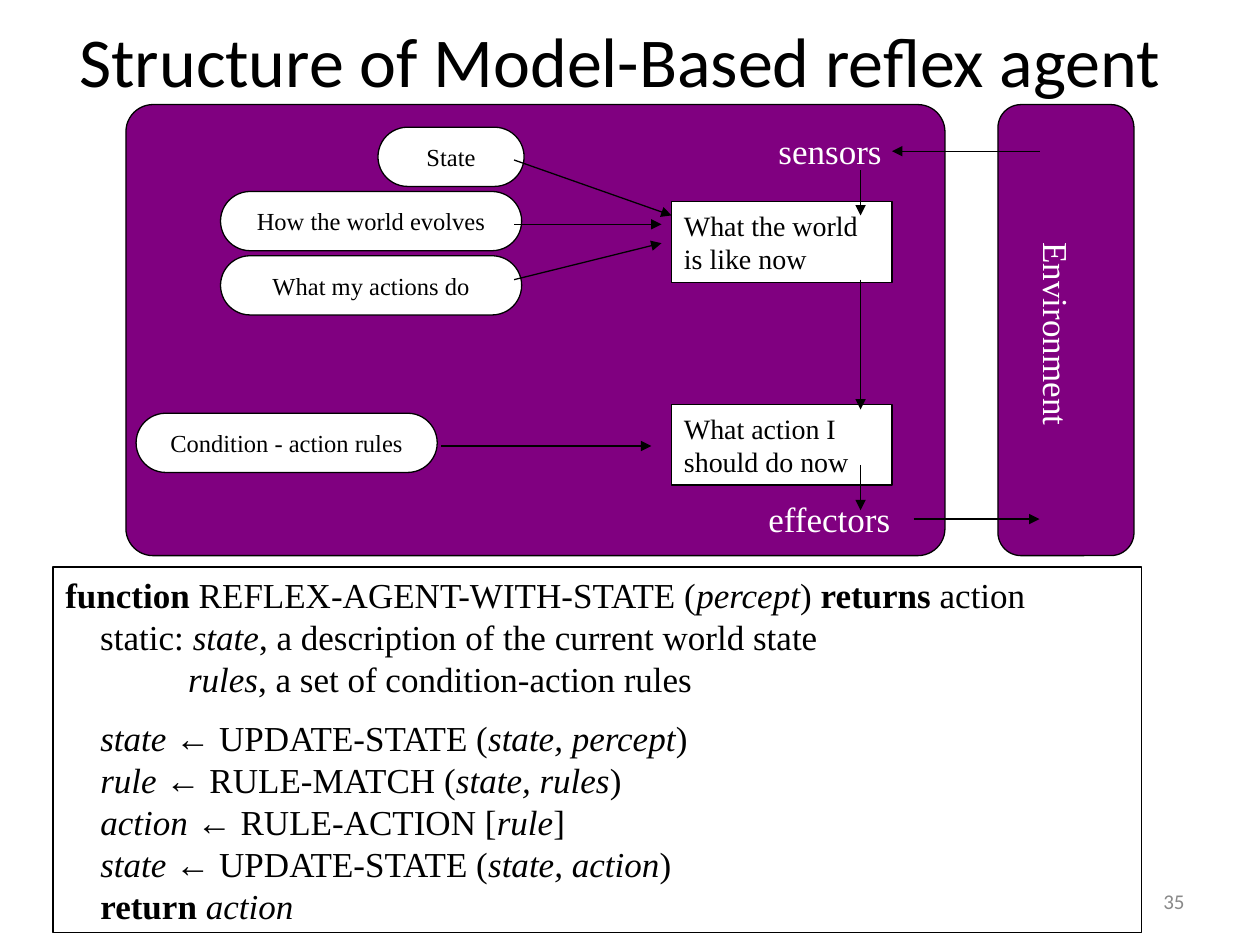
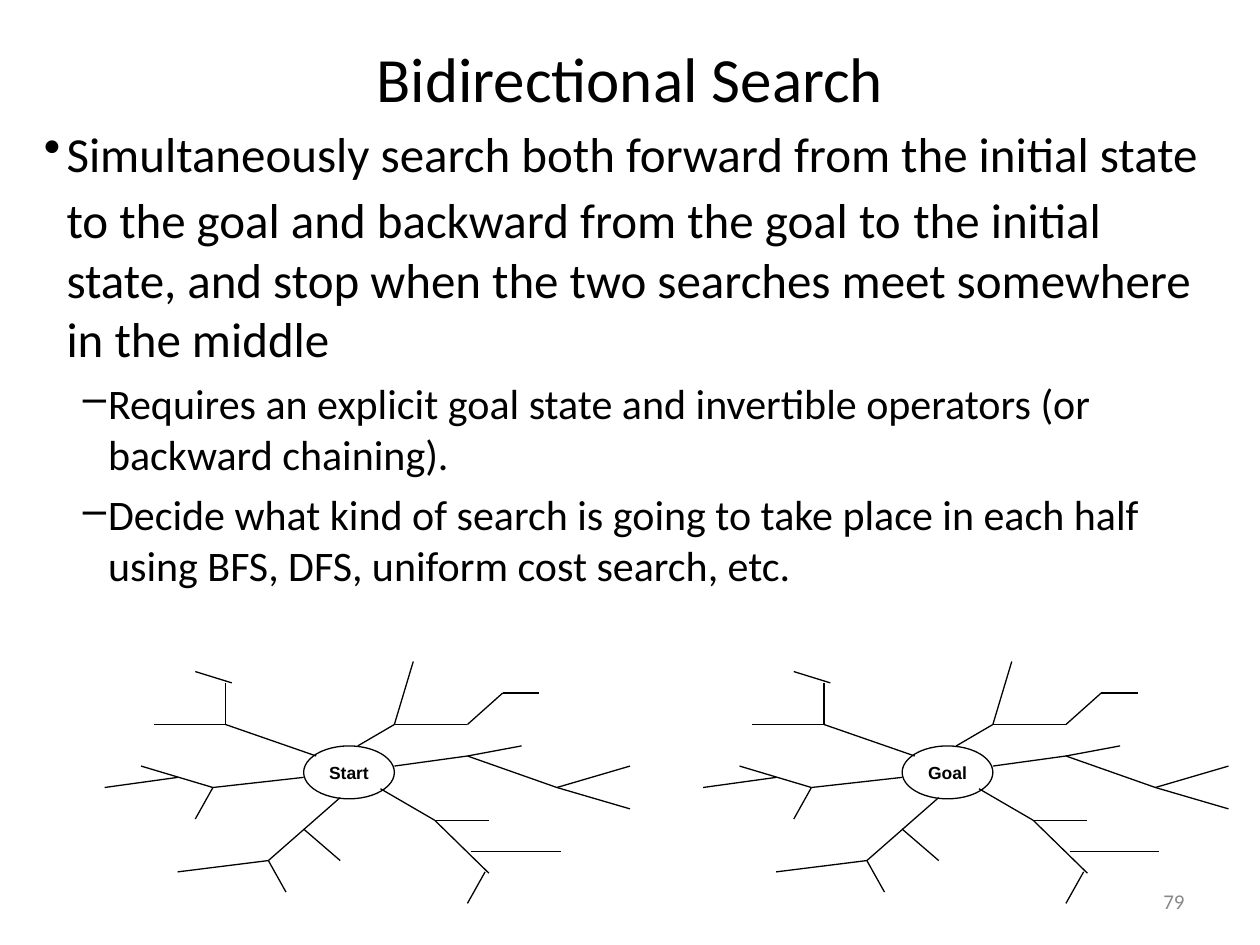
from itertools import pairwise

from pptx import Presentation
from pptx.dml.color import RGBColor
from pptx.enum.shapes import MSO_CONNECTOR, MSO_SHAPE
from pptx.enum.text import MSO_ANCHOR, MSO_AUTO_SIZE, PP_ALIGN
from pptx.oxml.ns import qn
from pptx.oxml.xmlchemy import OxmlElement
from pptx.util import Inches, Pt

RECTANGLE, ROUNDED, OVAL = MSO_SHAPE.RECTANGLE, MSO_SHAPE.ROUNDED_RECTANGLE, MSO_SHAPE.OVAL
STRAIGHT = MSO_CONNECTOR.STRAIGHT
TOP, MIDDLE = MSO_ANCHOR.TOP, MSO_ANCHOR.MIDDLE
LEFT, CENTER, RIGHT = PP_ALIGN.LEFT, PP_ALIGN.CENTER, PP_ALIGN.RIGHT
NO_FIT = MSO_AUTO_SIZE.NONE

COLORS = {"ink": "000000", "paper": "FFFFFF", "purple": "800080", "number": "898989"}
SANS, SERIF, LABEL = "Calibri", "Times New Roman", "Arial"
SERIF_LEADING = 1.2
LINE_WIDTH = 0.75

PILLS = [
    ("State", 3, 1.01, 1.16),
    ("How the world evolves", 1.75, 1.52, 2.39),
    ("What my actions do", 1.75, 2.03, 2.39),
    ("Condition - action rules", 1.08, 3.28, 2.39),
]
STEPS = [("What the world is like now", 1.6), ("What action I should do now", 3.21)]
ARROWS = [
    ((8.25, 1.2), (7.08, 1.2)),
    ((6.83, 1.35), (6.83, 1.71)),
    ((6.83, 2.22), (6.83, 3.25)),
    ((6.83, 3.69), (6.83, 4.05)),
    ((7.25, 4.12), (8.25, 4.12)),
    ((4.08, 1.27), (5.33, 1.71)),
    ((4.08, 1.78), (5.25, 1.78)),
    ((4.08, 2.22), (5.25, 1.93)),
    ((3.5, 3.54), (5.17, 3.54)),
]
HEADER = [
    [("function", "b"), (" REFLEX-AGENT-WITH-STATE (", ""), ("percept", "i"), (") ", ""),
     ("returns", "b"), (" action", "")],
    [("    static: ", ""), ("state", "i"), (", a description of the current world state", "")],
    [("              ", ""), ("rules", "i"), (", a set of condition-action rules", "")],
]
ASSIGNMENTS = [
    ("state", "UPDATE-STATE (", "state, percept", ")"),
    ("rule", "RULE-MATCH (", "state, rules", ")"),
    ("action", "RULE-ACTION [", "rule", "]"),
    ("state", "UPDATE-STATE (", "state, action", ")"),
]
RETURN = [("    ", ""), ("return ", "b"), ("action", "i")]

LEAD = [
    ("Simultaneously search both forward from the initial state to the goal and "
     "backward from the goal to", 28),
    (" ", 32),
    ("the initial state, and stop when the two searches meet somewhere in the middle", 28),
]
DETAILS = [
    "Requires an explicit goal state and invertible operators (or backward chaining).",
    "Decide what kind of search is going to take place in each half using BFS, DFS, "
    "uniform cost search, etc.",
]
BRANCHES = [
    [(3.13, 6.08), (3.71, 6), (4.42, 6.25), (5, 6.08)],
    [(4.42, 6.25), (5, 6.42)],
    [(3.71, 6), (4.14, 5.92)],
    [(3.02, 6.26), (3.45, 6.51), (3.88, 6.51)],
    [(3.45, 6.51), (3.88, 6.93)],
    [(3.74, 6.76), (4.45, 6.76)],
    [(3.85, 6.92), (3.71, 7.17)],
    [(2.84, 5.92), (3.13, 5.75), (3.71, 5.75), (3.99, 5.5), (4.28, 5.5)],
    [(3.13, 5.75), (3.28, 5.25)],
    [(2.51, 6), (1.79, 5.75), (1.79, 5.42)],
    [(1.79, 5.75), (1.22, 5.75)],
    [(1.84, 5.42), (1.55, 5.33)],
    [(2.41, 6.17), (1.69, 6.25), (1.55, 6.5)],
    [(1.69, 6.25), (1.12, 6.08)],
    [(1.41, 6.17), (0.83, 6.25)],
    [(2.7, 6.33), (2.13, 6.83), (2.27, 7.08)],
    [(2.13, 6.83), (1.41, 6.92)],
    [(2.41, 6.58), (2.7, 6.83)],
]
TREE_GAP = 4.75


def color(name):
    """Return the named colour."""
    return RGBColor.from_string(COLORS[name])


class Deck:
    """Holds the shared style and the current slide, and draws elements on it."""

    def __init__(self):
        self.file = Presentation()
        self.file.slide_width, self.file.slide_height = Inches(10), Inches(7.5)

    def add_page(self, title, size, place, number):
        """Start a slide with its title and page number."""
        self.page = self.file.slides.add_slide(self.file.slide_layouts[5])
        self.canvas = self.page.shapes
        heading = self.page.shapes.title
        heading.left, heading.top, heading.width, heading.height = map(Inches, place)
        self.set_text(heading, title, size, SANS, align=CENTER, anchor=MIDDLE)
        self.add_text(number, (7.17, 6.95, 2.33, 0.4), 12, SANS, "number", RIGHT, MIDDLE)

    def start_group(self):
        """Put the next elements into a new group."""
        self.canvas = self.page.shapes.add_group_shape().shapes

    def end_group(self):
        """Put the next elements straight on the slide."""
        self.canvas = self.page.shapes

    def style(self, paragraph, size, font, ink="ink", align=LEFT, bold=None):
        """Format a whole paragraph."""
        paragraph.alignment = align
        if font == SERIF:
            paragraph.line_spacing = Pt(size * SERIF_LEADING)
        paragraph.font.size, paragraph.font.name = Pt(size), font
        paragraph.font.bold = bold
        paragraph.font.color.rgb = color(ink)

    def set_text(self, box, text, size, font, ink="ink", align=LEFT, anchor=TOP,
                 wrap=True, bold=None):
        """Fill a box with one paragraph."""
        frame = box.text_frame
        frame.word_wrap, frame.auto_size = wrap, NO_FIT
        frame.vertical_anchor = anchor
        frame.text = text
        self.style(frame.paragraphs[0], size, font, ink, align, bold)

    def add_text(self, text, place, size, font, ink="ink", align=LEFT, anchor=TOP, wrap=True):
        """Add a text box."""
        box = self.canvas.add_textbox(*map(Inches, place))
        self.set_text(box, text, size, font, ink, align, anchor, wrap)
        return box

    def add_box(self, kind, place, fill=None, corner=None):
        """Add an outlined preset shape."""
        box = self.canvas.add_shape(kind, *map(Inches, place))
        box.shadow.inherit = False
        if corner is not None:
            box.adjustments[0] = corner
        if fill:
            box.fill.solid()
            box.fill.fore_color.rgb = color(fill)
        else:
            box.fill.background()
        box.line.color.rgb = color("ink")
        box.line.width = Pt(LINE_WIDTH)
        return box

    def add_line(self, start, end, arrow=False):
        """Add a straight line, with an arrowhead at its end if asked."""
        line = self.canvas.add_connector(STRAIGHT, *map(Inches, (*start, *end)))
        line.line.color.rgb = color("ink")
        line.line.width = Pt(LINE_WIDTH)
        properties = line._element.spPr
        if arrow:
            head = OxmlElement("a:tailEnd")
            head.set("type", "triangle")
            properties.find(qn("a:ln")).append(head)
        properties.append(OxmlElement("a:effectLst"))

    def add_code(self, lines, place, size, gap_before):
        """Add an outlined box of pseudocode with a gap before one line."""
        box = self.add_box(RECTANGLE, place)
        frame = box.text_frame
        frame.word_wrap, frame.vertical_anchor = True, TOP
        for index, spans in enumerate(lines):
            para = frame.add_paragraph() if index else frame.paragraphs[0]
            self.style(para, size, SERIF)
            if index == gap_before:
                para.space_before = Pt(9.6)
            for text, mark in spans:
                span = para.add_run()
                span.text = text
                if mark == "b":
                    span.font.bold = True
                elif mark == "i":
                    span.font.italic = True
                elif mark == "arrow":
                    span.font.name = LABEL

    def make_bullet(self, para, sign, size, margin, hang, level=0, before=None):
        """Turn a paragraph into a bullet with a hanging indent."""
        para.level = level
        properties = para._p.get_or_add_pPr()
        properties.set("marL", str(Inches(margin)))
        properties.set("indent", str(-Inches(hang)))
        bullet = OxmlElement("a:buChar")
        bullet.set("char", sign)
        properties.append(bullet)
        if before:
            para.space_before = Pt(before)
        self.style(para, size, SANS)

    def add_bullets(self, lead, details, place):
        """Add a lead bullet of sized spans with detail bullets below it."""
        box = self.canvas.add_textbox(*map(Inches, place))
        frame = box.text_frame
        frame.word_wrap = True
        para = frame.paragraphs[0]
        self.make_bullet(para, "•", 28, 0.18, 0.18)
        for text, size in lead:
            span = para.add_run()
            span.text = text
            span.font.size = Pt(size)
        for text in details:
            para = frame.add_paragraph()
            para.text = text
            self.make_bullet(para, "–", 24, 0.51, 0.2, level=1, before=6)

    def add_tree(self, label, shift):
        """Add a search tree around a labelled root."""
        self.start_group()
        root = self.add_box(OVAL, (2.41 + shift, 5.92, 0.72, 0.42))
        self.set_text(root, label, 10, LABEL, align=CENTER, anchor=MIDDLE, wrap=False, bold=True)
        for branch in BRANCHES:
            for (x1, y1), (x2, y2) in pairwise(branch):
                self.add_line((x1 + shift, y1), (x2 + shift, y2))
        self.end_group()


def build_agent(deck):
    """Build the slide on the model-based reflex agent."""
    deck.add_page("Structure of Model-Based reflex agent", 40, (0.17, 0.25, 9.5, 0.45), "35")
    deck.start_group()
    deck.add_box(ROUNDED, (1, 0.83, 6.5, 3.58), "purple", 0.06)
    deck.add_box(ROUNDED, (7.92, 0.83, 1.08, 3.58), "purple", 0.17)
    deck.add_text("sensors", (6.08, 0.98, 1.02, 0.44), 20, SERIF, "paper", wrap=False)
    deck.add_text("effectors", (6, 3.9, 1.33, 0.44), 20, SERIF, "paper")
    environment = deck.add_text("Environment", (7.56, 2.43, 1.65, 0.44), 20, SERIF,
                                "paper", wrap=False)
    environment.rotation = 90
    for text, top in STEPS:
        step = deck.add_box(RECTANGLE, (5.33, top, 1.75, 0.64), "paper")
        deck.set_text(step, text, 16, SERIF, anchor=MIDDLE)
    for text, left, top, width in PILLS:
        pill = deck.add_box(ROUNDED, (left, top, width, 0.47), "paper", 0.5)
        deck.set_text(pill, text, 14, SERIF, align=CENTER, anchor=MIDDLE)
    for start, end in ARROWS:
        deck.add_line(start, end, arrow=True)
    deck.end_group()
    assignments = [
        [("    ", ""), (f"{target} ", "i"), ("←", "arrow"), (f" {call}", ""),
         (arguments, "i"), (close, "")]
        for target, call, arguments, close in ASSIGNMENTS
    ]
    deck.add_code(HEADER + assignments + [RETURN], (0.42, 4.5, 8.64, 2.9), 20, len(HEADER))


def build_search(deck):
    """Build the slide on bidirectional search."""
    deck.add_page("Bidirectional Search", 36, (0.5, 0.3, 9, 0.62), "79")
    deck.add_bullets(LEAD, DETAILS, (0.25, 0.93, 9.5, 3.91))
    for index, label in enumerate(["Start", "Goal"]):
        deck.add_tree(label, index * TREE_GAP)


def main():
    """Build and save both slides."""
    deck = Deck()
    build_agent(deck)
    build_search(deck)
    deck.file.save("out.pptx")


if __name__ == "__main__":
    main()
